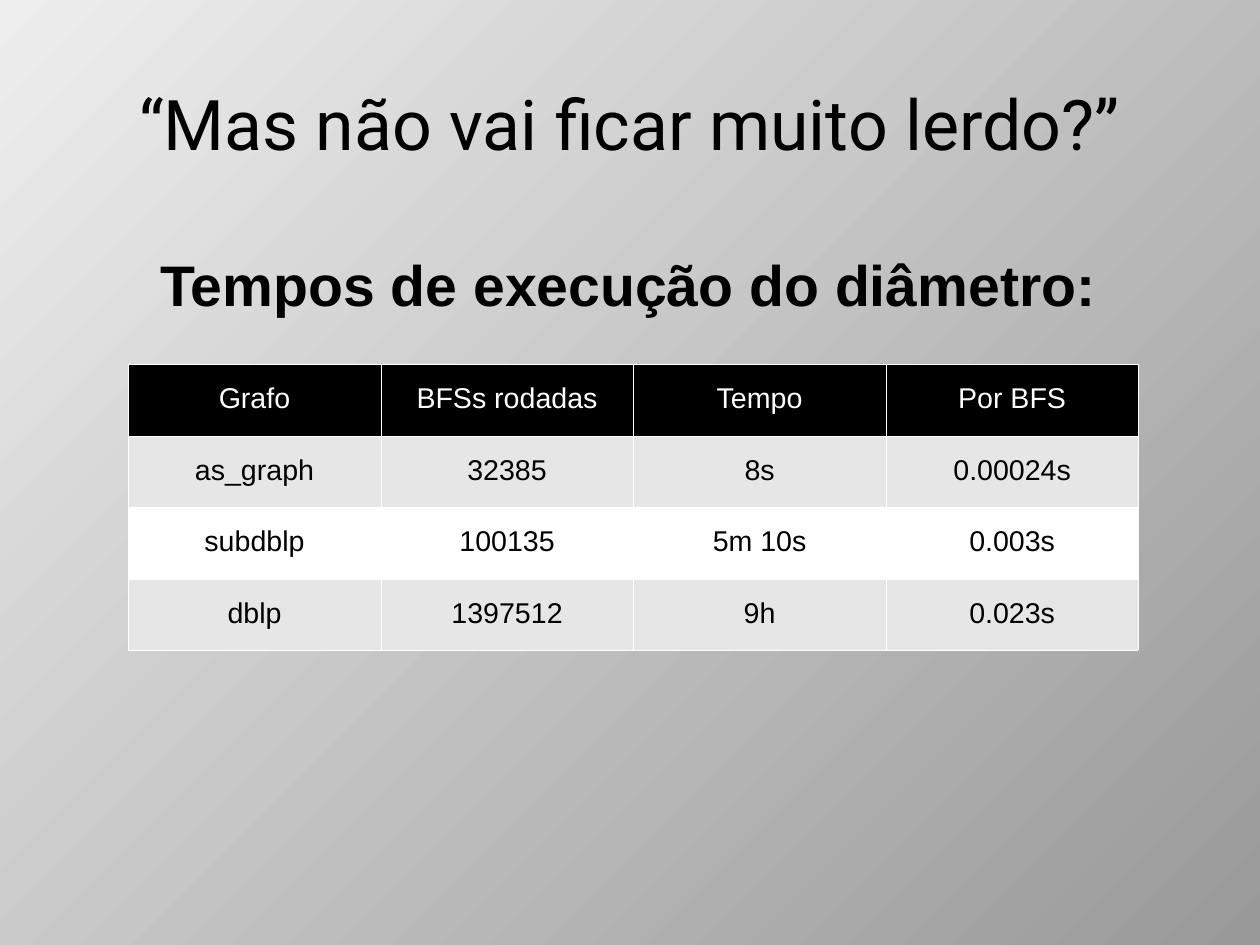
from lxml import etree
from pptx import Presentation
from pptx import util as u
from pptx.dml.color import RGBColor
from pptx.enum import text
from pptx.oxml import ns

BLACK = RGBColor(0x00, 0x00, 0x00)
WHITE = RGBColor(0xFF, 0xFF, 0xFF)
PALE = RGBColor(0xE6, 0xE6, 0xE6)
GRADIENT = (RGBColor(0xEE, 0xEE, 0xEE), RGBColor(0x99, 0x99, 0x99))

TIMES = [
    ("Grafo", "BFSs rodadas", "Tempo", "Por BFS"),
    ("as_graph", "32385", "8s", "0.00024s"),
    ("subdblp", "100135", "5m 10s", "0.003s"),
    ("dblp", "1397512", "9h", "0.023s"),
]


class Deck:
    """Holds the style and the current slide."""

    font = "Arial"
    title_font = "Roboto"
    line_spacing = 0.93

    def __init__(self, width, height):
        self.prs = Presentation()
        self.prs.slide_width, self.prs.slide_height = u.Cm(width), u.Cm(height)
        self.s = None

    def new_slide(self):
        self.s = self.prs.slides.add_slide(self.prs.slide_layouts[5])
        fill = self.s.background.fill
        fill.gradient()
        fill.gradient_angle = 315
        for stop, color in zip(fill.gradient_stops, GRADIENT):
            stop.color.rgb = color

    def set_text(self, tf, words, size, color=BLACK, bold=False, font=font,
                 spacing=line_spacing):
        p = tf.paragraphs[0]
        p.text = words
        p.alignment = text.PP_ALIGN.CENTER
        p.line_spacing = spacing
        p.font.name, p.font.size, p.font.bold = font, u.Pt(size), bold
        p.font.color.rgb = color

    def title(self, words, left, top, width, height):
        sp = self.s.shapes.title
        sp.left, sp.top = u.Cm(left), u.Cm(top)
        sp.width, sp.height = u.Cm(width), u.Cm(height)
        tf = sp.text_frame
        tf.auto_size = text.MSO_AUTO_SIZE.NONE
        tf.vertical_anchor = text.MSO_ANCHOR.MIDDLE
        tf.margin_left = tf.margin_right = tf.margin_top = tf.margin_bottom = 0
        self.set_text(tf, words, 44, font=self.title_font, spacing=1.14)

    def heading(self, words, left, top, width, height):
        sp = self.s.shapes.add_textbox(*map(u.Cm, (left, top, width, height)))
        tf = sp.text_frame
        tf.word_wrap = True
        tf.margin_top = u.Cm(0.2)
        self.set_text(tf, words, 36, bold=True)

    def border(self, cell, color, points):
        tc_pr = cell._tc.get_or_add_tcPr()
        for side in ("lnL", "lnR", "lnT", "lnB"):
            ln = etree.SubElement(tc_pr, ns.qn("a:" + side), w=str(u.Pt(points)))
            fill = etree.SubElement(ln, ns.qn("a:solidFill"))
            etree.SubElement(fill, ns.qn("a:srgbClr"), val=str(color))

    def table(self, rows, left, top, width, height):
        table = self.s.shapes.add_table(
            len(rows), len(rows[0]),
            *map(u.Cm, (left, top, width, height))).table
        for i, row in enumerate(rows):
            # Black header, then alternating pale and white rows
            back = BLACK if i == 0 else PALE if i % 2 else WHITE
            for j, words in enumerate(row):
                cell = table.cell(i, j)
                self.border(cell, WHITE, 0.06)
                cell.fill.solid()
                cell.fill.fore_color.rgb = back
                cell.vertical_anchor = text.MSO_ANCHOR.MIDDLE
                self.set_text(cell.text_frame, words, 18,
                              color=BLACK if i else WHITE)


def main():
    deck = Deck(28, 21)
    deck.new_slide()

    # Title and heading
    deck.title("“Mas não vai ficar muito lerdo?”", 1.4, 0.84, 25.2, 3.5)
    deck.heading("Tempos de execução do diâmetro:", 0.5, 5.48, 26.92, 1.68)

    # Running times
    deck.table(TIMES, 2.85, 8.09, 22.45, 6.36)

    deck.prs.save("out.pptx")


if __name__ == "__main__":
    main()
